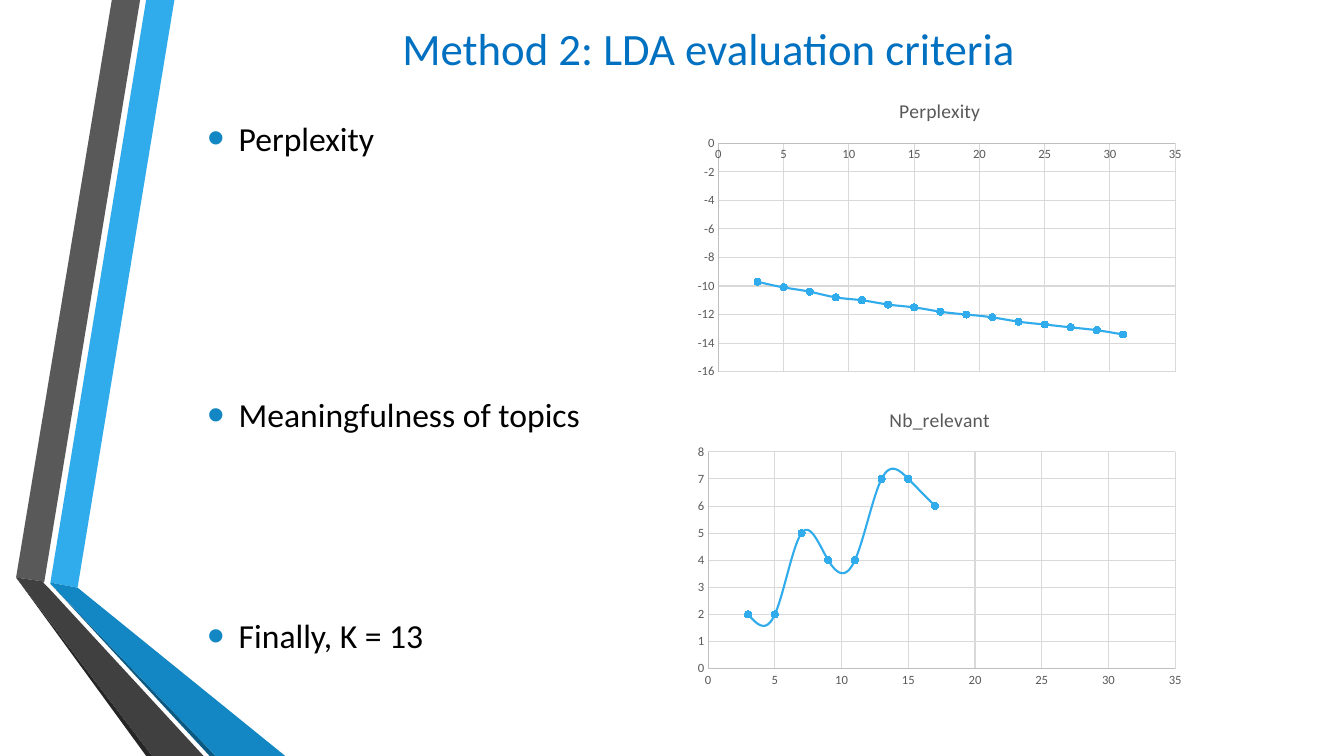
import pptx
import pptx.util
import pptx.chart.data
import pptx.dml.color
import pptx.enum.chart
import pptx.enum.text
import pptx.oxml
import pptx.oxml.ns
from pptx.util import Inches

RGB = pptx.dml.color.RGBColor
SKY = RGB(0x30, 0xAC, 0xEC)
OCEAN = RGB(0x12, 0x87, 0xC3)
NAVY = RGB(0x0C, 0x5A, 0x82)
GRAY = RGB(0x59, 0x59, 0x59)
CHARCOAL = RGB(0x40, 0x40, 0x40)
INK = RGB(0x26, 0x26, 0x26)
BLACK = RGB(0, 0, 0)
TITLE_BLUE = RGB(0x00, 0x70, 0xC0)
AXIS = RGB(0xBF, 0xBF, 0xBF)
GRID = RGB(0xD9, 0xD9, 0xD9)

RIBBONS = [
    (SKY, [(0.5, 5.78), (0.77, 5.83), (1.73, 0), (1.45, 0)]),
    (GRAY, [(1.39, 0), (1.11, 0), (0.16, 5.73), (0.44, 5.77)]),
    (INK, [(0.16, 5.73), (1.45, 7.5), (1.51, 7.5)]),
    (NAVY, [(0.5, 5.79), (2.08, 7.5), (2.14, 7.5)]),
    (OCEAN, [(0.5, 5.79), (2.14, 7.5), (2.83, 7.5), (0.77, 5.83), (0.5, 5.78)]),
    (CHARCOAL, [(2.02, 7.5), (0.48, 5.83), (0.43, 5.78), (0.44, 5.77), (0.16, 5.73), (1.51, 7.5)]),
]
LINE_HEIGHT = 29.3
LINE_STEP = 39.6
BULLETS = [("Perplexity", 0), ("Meaningfulness of topics", 5), ("Finally, K = 13", 4)]
PERPLEXITY = [-9.7, -10.1, -10.4, -10.8, -11, -11.3, -11.5, -11.8,
              -12, -12.2, -12.5, -12.7, -12.9, -13.1, -13.4]
RELEVANT = [2, 2, 5, 4, 4, 7, 7, 6]


class Deck:
    font = "Calibri"

    def __init__(self):
        self.prs = pptx.Presentation()
        self.prs.slide_width = Inches(13.33)
        self.prs.slide_height = Inches(7.5)
        self.s = self.prs.slides.add_slide(self.prs.slide_layouts[6])

    def style(self, font, size, color):
        font.name = self.font
        font.size = pptx.util.Pt(size)
        font.color.rgb = color

    def ribbon(self, color, points):
        pts = [(Inches(x), Inches(y)) for x, y in points]
        fb = self.s.shapes.build_freeform(*pts[0])
        fb.add_line_segments(pts[1:], close=True)
        sp = fb.convert_to_shape()
        sp.shadow.inherit = False
        sp.fill.solid()
        sp.fill.fore_color.rgb = color
        sp.line.fill.background()

    def text_frame(self, left, top, width, height):
        sp = self.s.shapes.add_textbox(Inches(left), Inches(top), Inches(width), Inches(height))
        tf = sp.text_frame
        tf.word_wrap = True
        tf.vertical_anchor = pptx.enum.text.MSO_ANCHOR.MIDDLE
        return tf

    def title(self, text, *box):
        p = self.text_frame(*box).paragraphs[0]
        p.text = text
        p.alignment = pptx.enum.text.PP_ALIGN.CENTER
        self.style(p.runs[0].font, 32, TITLE_BLUE)

    def bullets(self, items, *box):
        tf = self.text_frame(*box)
        tf.text = "\n".join(text for text, steps in items)
        for p, (text, steps) in zip(tf.paragraphs, items):
            if steps:
                p.space_before = pptx.util.Pt(round(steps * LINE_STEP - LINE_HEIGHT, 1))
            self.style(p.runs[0].font, 24, BLACK)
            pPr = p._p.get_or_add_pPr()
            pPr.set("marL", str(Inches(0.31)))
            pPr.set("indent", str(-Inches(0.31)))
            ns = pptx.oxml.ns.nsdecls("a")
            for xml in (f'<a:buClr {ns}><a:srgbClr val="{OCEAN}"/></a:buClr>',
                        f'<a:buSzPct {ns} val="145000"/>',
                        f'<a:buFont {ns} typeface="Arial"/>',
                        f'<a:buChar {ns} char="•"/>'):
                pPr.append(pptx.oxml.parse_xml(xml))

    def axis(self, axis, low, high, unit):
        axis.minimum_scale, axis.maximum_scale, axis.major_unit = low, high, unit
        axis.major_tick_mark = axis.minor_tick_mark = pptx.enum.chart.XL_TICK_MARK.NONE
        axis.has_major_gridlines = True
        for line, color in ((axis.format.line, AXIS), (axis.major_gridlines.format.line, GRID)):
            line.color.rgb = color
            line.width = pptx.util.Pt(0.75)
        self.style(axis.tick_labels.font, 9, GRAY)

    def scatter(self, name, values, top, low, high, unit):
        data = pptx.chart.data.XyChartData()
        points = data.add_series(name)
        for i, value in enumerate(values):
            points.add_data_point(3 + 2 * i, value)
        chart = self.s.shapes.add_chart(
            pptx.enum.chart.XL_CHART_TYPE.XY_SCATTER_SMOOTH,
            Inches(6.82), Inches(top), Inches(5), Inches(3), data).chart
        self.style(chart.font, 10, BLACK)
        chart.has_legend = False
        chart.has_title = True
        tf = chart.chart_title.text_frame
        tf.text = name
        self.style(tf.paragraphs[0].runs[0].font, 14, GRAY)
        tf.paragraphs[0].runs[0].font.bold = False
        chart.chart_title.include_in_layout = False
        self.axis(chart.category_axis, 0, 35, 5)
        self.axis(chart.value_axis, low, high, unit)
        plot = chart.plots[0]
        plot.vary_by_categories = False
        series = plot.series[0]
        series.format.line.color.rgb = SKY
        series.format.line.width = pptx.util.Pt(1.5)
        series.marker.style = pptx.enum.chart.XL_MARKER_STYLE.CIRCLE
        series.marker.size = 5
        series.marker.format.fill.solid()
        series.marker.format.fill.fore_color.rgb = SKY
        series.marker.format.line.color.rgb = SKY
        for smooth in series._element.xpath("c:smooth"):
            smooth.set("val", "1")


def main():
    deck = Deck()
    for color, points in RIBBONS:
        deck.ribbon(color, points)
    deck.bullets(BULLETS, 1.96, 1.05, 10.96, 5.57)
    deck.title("Method 2: LDA evaluation criteria", 1.55, -0.49, 10.96, 1.92)
    deck.scatter("Perplexity", PERPLEXITY, 0.82, -16, 0, 2)
    deck.scatter("Nb_relevant", RELEVANT, 3.88, 0, 8, 1)
    deck.prs.save("out.pptx")


if __name__ == "__main__":
    main()
